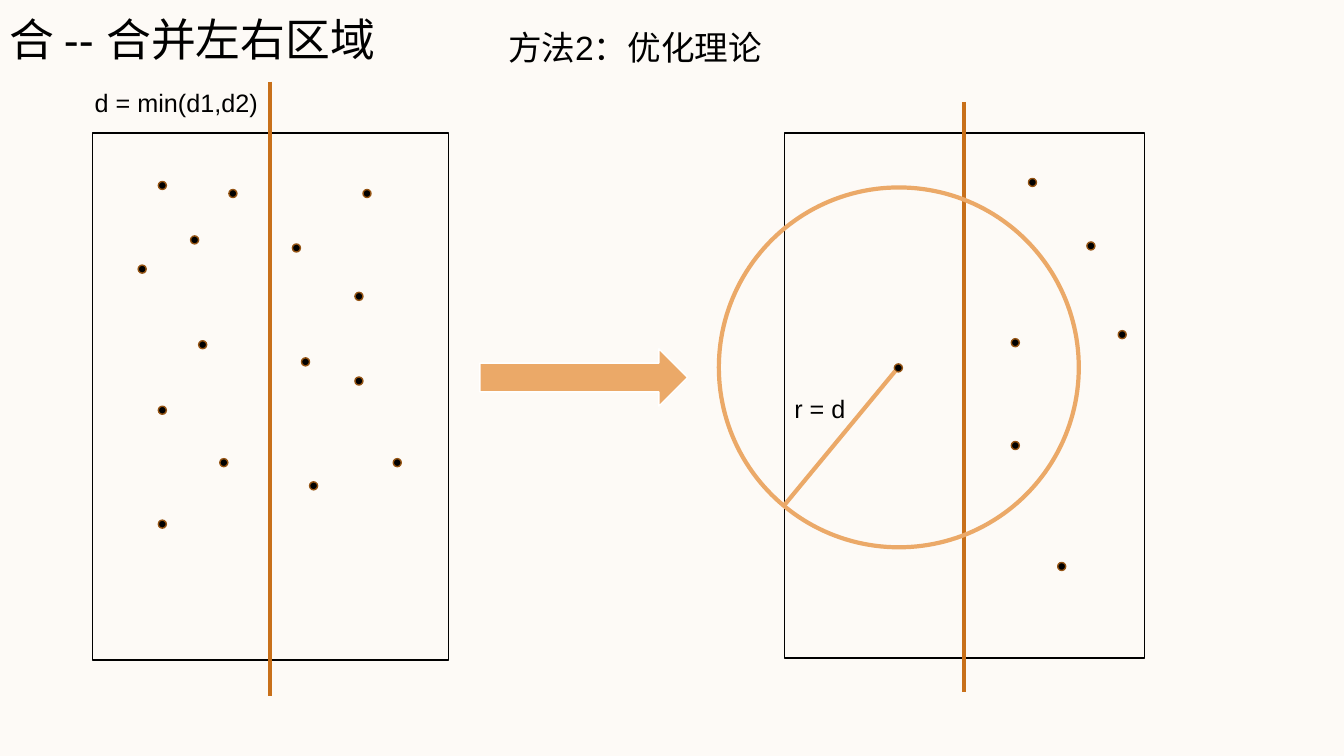
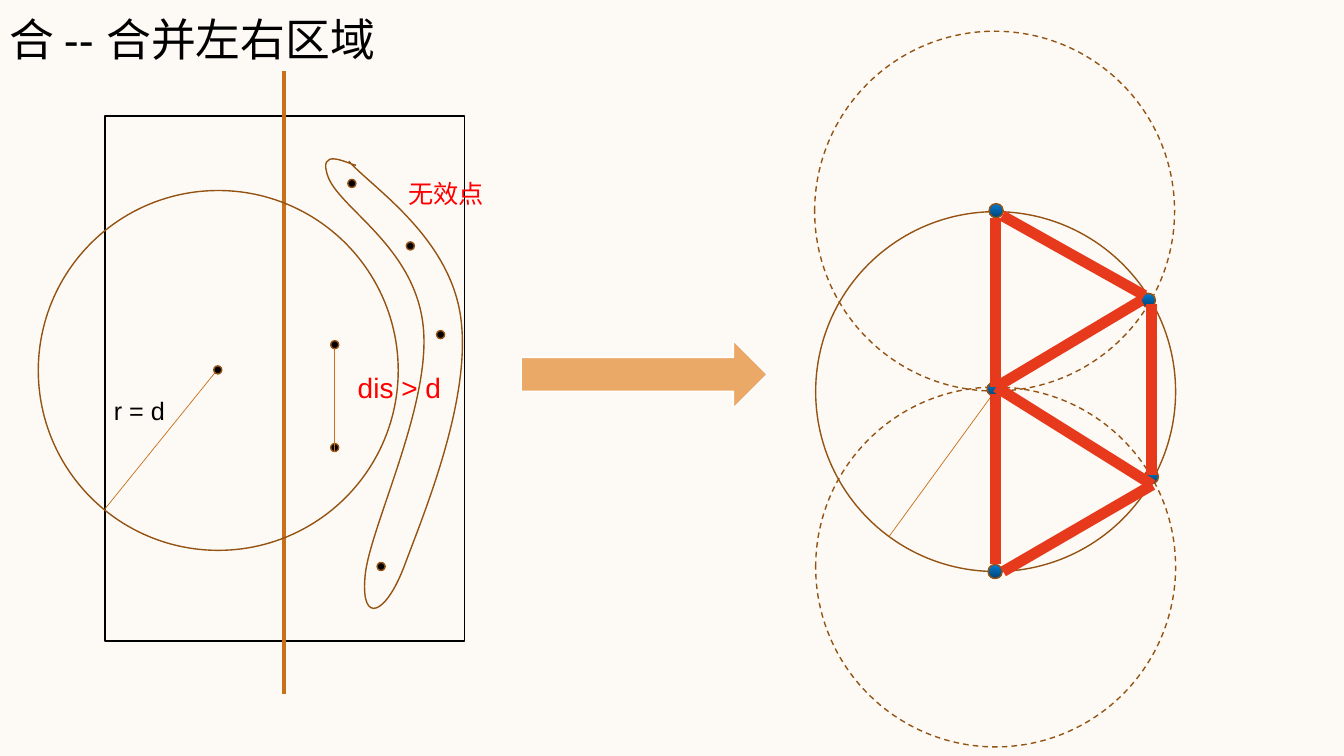
"""Build two slides on merging regions in the closest-pair problem."""
from lxml import etree
from pptx import Presentation
from pptx.dml.color import RGBColor
from pptx.enum.dml import MSO_LINE
from pptx.enum.shapes import MSO_CONNECTOR, MSO_SHAPE
from pptx.enum.text import MSO_ANCHOR, MSO_AUTO_SIZE, PP_ALIGN
from pptx.oxml.ns import qn
from pptx.util import Inches, Pt

CREAM = RGBColor(0xFD, 0xFA, 0xF6)
BLACK = RGBColor(0x00, 0x00, 0x00)
WHITE = RGBColor(0xFF, 0xFF, 0xFF)
BROWN = RGBColor(0x94, 0x53, 0x13)
ORANGE = RGBColor(0xC8, 0x70, 0x1A)
PEACH = RGBColor(0xEB, 0xA9, 0x68)
RED = RGBColor(0xFF, 0x00, 0x00)
VERMILION = RGBColor(0xE7, 0x3A, 0x1C)
BLUE = RGBColor(0x00, 0x7B, 0xD3)
NAVY = RGBColor(0x03, 0x43, 0x73)

FONT = "Arial"
TITLE = "合 -- 合并左右区域"
DOT = 0.08
NODE = 0.14
CIRCLE = 3.57

ALL_POINTS = [
    (1.57, 1.8), (1.37, 2.63), (2.27, 1.88), (1.89, 2.34), (1.97, 3.38),
    (1.57, 4.03), (2.18, 4.55), (1.57, 5.16), (2.9, 2.42), (3.52, 2.9),
    (3.6, 1.88), (2.99, 3.55), (3.9, 4.55), (3.07, 4.78), (3.52, 3.74),
]
RIGHT_POINTS = [
    (8.87, 3.61), (10.2, 1.77), (10.78, 2.4), (10.49, 5.58),
    (10.03, 3.36), (11.09, 3.28), (10.03, 4.38),
]
CANDIDATE_POINTS = [
    (2.12, 3.63), (3.45, 1.78), (4.03, 2.4), (3.74, 5.58),
    (3.28, 3.38), (4.33, 3.28), (3.28, 4.4),
]
INVALID_BOX = (3.23, 1.58, 1.35, 4.46)
INVALID_START = (3.53, 1.64)
INVALID_CURVES = [
    ((3.46, 1.63), (3.13, 1.44), (3.26, 1.77)),
    ((3.4, 2.09), (4.13, 2.47), (4.2, 3.26)),
    ((4.27, 4.05), (3.65, 5.27), (3.62, 5.73)),
    ((3.58, 6.2), (3.83, 6.11), (4.02, 5.59)),
    ((4.21, 5.08), (4.68, 3.95), (4.57, 3.15)),
    ((4.46, 2.35), (3.69, 1.86), (3.46, 1.6)),
]
NODES = [(9.81, 2.02), (9.79, 3.79), (9.8, 5.6), (11.32, 2.91), (11.35, 4.66)]
EDGES = [
    ((9.87, 2.16), (9.87, 3.84)), ((9.87, 3.91), (9.87, 5.6)),
    ((9.94, 2.14), (11.35, 2.93)), ((11.32, 2.98), (9.88, 3.84)),
    ((9.88, 3.84), (11.43, 4.81)), ((11.43, 4.81), (9.95, 5.67)),
    ((11.42, 3.02), (11.42, 4.71)),
]


def write_text(shape, text, size, color=BLACK):
    """Put one left-aligned paragraph at the top of a shape."""
    frame = shape.text_frame
    frame.text = text
    frame.word_wrap = True
    frame.auto_size = MSO_AUTO_SIZE.SHAPE_TO_FIT_TEXT
    frame.vertical_anchor = MSO_ANCHOR.TOP
    paragraph = frame.paragraphs[0]
    paragraph.alignment = PP_ALIGN.LEFT
    paragraph.font.name = FONT
    paragraph.font.size = Pt(size)
    paragraph.font.color.rgb = color


def add_titled_slide(presentation):
    """Add a slide with the shared title."""
    slide = presentation.slides.add_slide(presentation.slide_layouts[5])
    title = slide.shapes.title
    title.left, title.top = Inches(-0.01), Inches(0.07)
    title.width, title.height = Inches(3.85), Inches(0.64)
    write_text(title, TITLE, 32)
    return slide


def add_label(slide, text, left, top, width, height=0.4, size=18, color=BLACK):
    """Add a text box."""
    box = slide.shapes.add_textbox(Inches(left), Inches(top), Inches(width), Inches(height))
    write_text(box, text, size, color)


def style_shape(shape, line_color, line_width=1, fill=None):
    """Set outline and fill, without a shadow."""
    shape.shadow.inherit = False
    shape.line.color.rgb = line_color
    shape.line.width = Pt(line_width)
    if fill is None:
        shape.fill.background()
    else:
        shape.fill.solid()
        shape.fill.fore_color.rgb = fill


def add_outline(slide, kind, left, top, width, height, line_color, line_width=1, fill=None):
    """Add a styled preset shape."""
    shape = slide.shapes.add_shape(
        kind, Inches(left), Inches(top), Inches(width), Inches(height))
    style_shape(shape, line_color, line_width, fill)
    return shape


def add_region(slide, left, top, width, height, fill=None):
    """Add the black frame of a region."""
    add_outline(slide, MSO_SHAPE.RECTANGLE, left, top, width, height, BLACK, fill=fill)


def add_circle(slide, left, top, color=BROWN, width=1, dashed=False):
    """Add an unfilled circle of radius d."""
    circle = add_outline(slide, MSO_SHAPE.OVAL, left, top, CIRCLE, CIRCLE, color, width)
    if dashed:
        circle.line.dash_style = MSO_LINE.DASH


def add_points(slide, positions):
    """Add a black dot at each position."""
    for left, top in positions:
        add_outline(slide, MSO_SHAPE.OVAL, left, top, DOT, DOT, BROWN, fill=BLACK)


def add_node(slide, left, top):
    """Add a blue gradient dot."""
    node = add_outline(slide, MSO_SHAPE.OVAL, left, top, NODE, NODE, BROWN)
    node.fill.gradient()
    node.fill.gradient_angle = 270
    for stop, position, color in zip(node.fill.gradient_stops, (0, 1), (BLUE, NAVY)):
        stop.position = position
        stop.color.rgb = color


def add_line(slide, start, end, color=ORANGE, width=0.5):
    """Add a straight line without a shadow."""
    line = slide.shapes.add_connector(
        MSO_CONNECTOR.STRAIGHT, *(Inches(value) for value in (*start, *end)))
    line.line.color.rgb = color
    line.line.width = Pt(width)
    etree.SubElement(line._element.spPr, qn("a:effectLst"))


def add_arrow(slide, left, top, width, height):
    """Add a block arrow between two diagrams."""
    add_outline(slide, MSO_SHAPE.RIGHT_ARROW, left, top, width, height, WHITE, fill=PEACH)


def add_curve(slide, box, start, curves):
    """Add an open outline of joined cubic curves inside a box."""
    left, top, width, height = (Inches(value) for value in box)
    builder = slide.shapes.build_freeform(left, top)
    builder.add_line_segments([(left + width, top + height)], close=False)
    shape = builder.convert_to_shape()
    outline = shape._element.spPr.find(".//" + qn("a:path"))
    for command in list(outline):
        outline.remove(command)
    commands = [("a:moveTo", (start,))] + [("a:cubicBezTo", curve) for curve in curves]
    for tag, points in commands:
        command = etree.SubElement(outline, qn(tag))
        for x, y in points:
            etree.SubElement(command, qn("a:pt"),
                             x=str(Inches(x) - left), y=str(Inches(y) - top))
    style_shape(shape, BROWN)


def build_method_slide(presentation):
    """Build the slide that introduces the second method."""
    slide = add_titled_slide(presentation)
    add_region(slide, 0.92, 1.32, 3.53, 5.23)
    add_line(slide, (2.68, 0.81), (2.68, 6.9), width=3)
    add_points(slide, ALL_POINTS)
    add_label(slide, "d = min(d1,d2)", 0.84, 0.82, 1.85)
    add_label(slide, "方法2：优化理论", 4.94, 0.22, 7.45, 0.5, 24)
    add_region(slide, 7.78, 1.32, 3.57, 5.21)
    add_line(slide, (9.56, 1.01), (9.56, 6.87), width=3)
    add_circle(slide, 7.13, 1.86, PEACH, 3)
    add_points(slide, RIGHT_POINTS)
    add_line(slide, (8.88, 3.68), (7.78, 5.01), PEACH, 3)
    add_label(slide, "r = d", 7.78, 3.85, 1.85)
    add_arrow(slide, 4.76, 3.46, 2.06, 0.57)


def build_bound_slide(presentation):
    """Build the slide that bounds the number of candidate points."""
    slide = add_titled_slide(presentation)
    add_region(slide, 1.04, 1.15, 3.57, 5.21, CREAM)
    add_line(slide, (2.82, 0.7), (2.82, 6.89), width=3)
    add_circle(slide, 0.38, 1.89)
    add_points(slide, CANDIDATE_POINTS)
    add_line(slide, (2.13, 3.7), (1.04, 5.05))
    add_line(slide, (3.32, 3.45), (3.32, 4.48))
    add_curve(slide, INVALID_BOX, INVALID_START, INVALID_CURVES)
    add_label(slide, "r = d", 1.03, 3.87, 1.85)
    add_label(slide, "无效点", 3.95, 1.72, 1.86, color=RED)
    add_label(slide, "dis > d", 3.45, 3.63, 1.07, 0.44, 20, RED)
    add_arrow(slide, 5.17, 3.38, 2.44, 0.67)

    add_circle(slide, 8.09, 2.1)
    add_line(slide, (9.84, 3.92), (8.82, 5.32))
    add_circle(slide, 8.08, 0.31, dashed=True)
    add_circle(slide, 8.09, 3.84, dashed=True)
    for left, top in NODES:
        add_node(slide, left, top)
    for start, end in EDGES:
        add_line(slide, start, end, VERMILION, 7.75)


def main():
    """Build and save the presentation."""
    presentation = Presentation()
    presentation.slide_width = Inches(13.33)
    presentation.slide_height = Inches(7.5)
    background = presentation.slide_master.background.fill
    background.solid()
    background.fore_color.rgb = CREAM
    build_method_slide(presentation)
    build_bound_slide(presentation)
    presentation.save("out.pptx")


if __name__ == "__main__":
    main()
